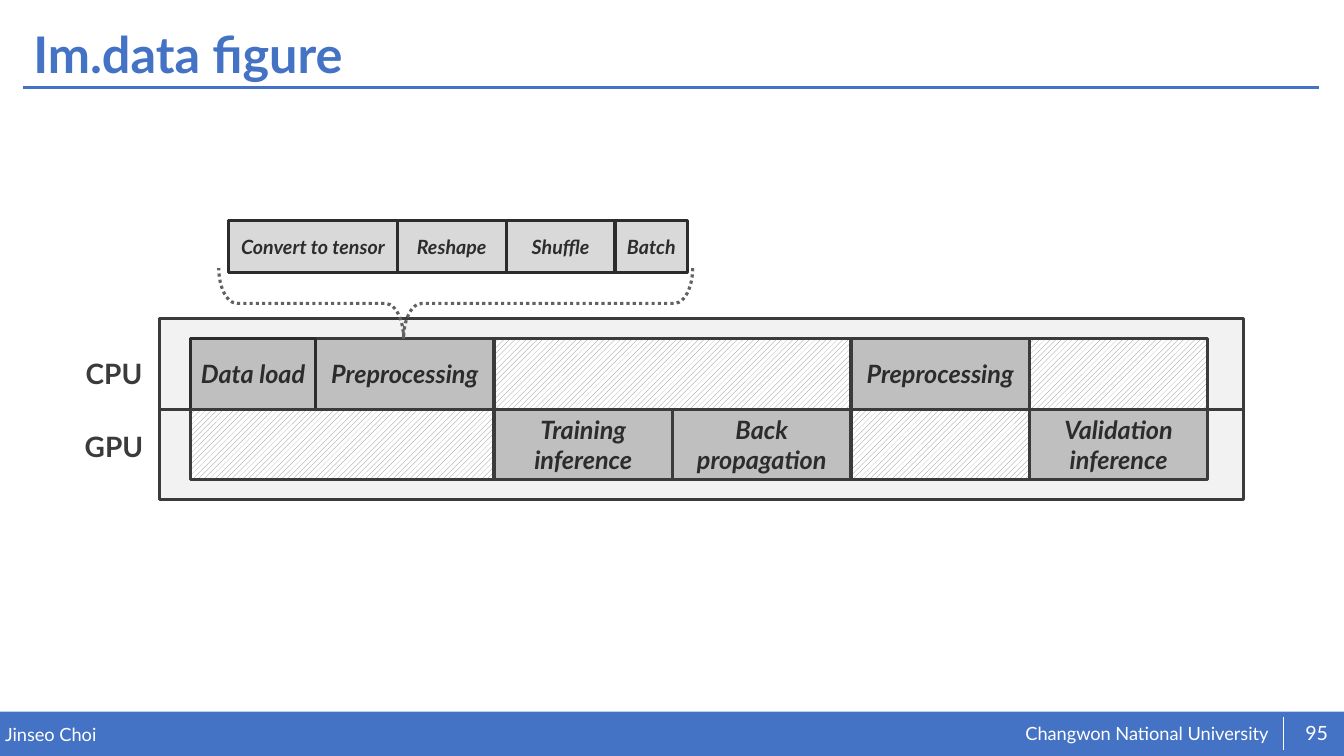
"""Build the slide showing how CPU and GPU share the training pipeline."""
from lxml import etree
from pptx import Presentation
from pptx.dml.color import RGBColor
from pptx.enum.dml import MSO_LINE, MSO_PATTERN
from pptx.enum.shapes import MSO_CONNECTOR, MSO_SHAPE
from pptx.enum.text import MSO_ANCHOR, MSO_AUTO_SIZE, PP_ALIGN
from pptx.oxml.ns import qn
from pptx.util import Inches, Pt

RECT, BRACE = MSO_SHAPE.RECTANGLE, MSO_SHAPE.LEFT_BRACE
STRAIGHT = MSO_CONNECTOR.STRAIGHT
LEFT, CENTER, RIGHT = PP_ALIGN.LEFT, PP_ALIGN.CENTER, PP_ALIGN.RIGHT
MIDDLE, NO_FIT = MSO_ANCHOR.MIDDLE, MSO_AUTO_SIZE.NONE
HATCH, DOTS = MSO_PATTERN.WIDE_UPWARD_DIAGONAL, MSO_LINE.ROUND_DOT
BLUE, WHITE, DARK, INK = "4472C4", "FFFFFF", "3B3B3B", "2C2C2C"
CELL, STEP = "BFBFBF", "D9D9D9"


def rgb(color):
    return RGBColor.from_string(color)


def write(tf, lines, size, color, align=LEFT, bold=False, italic=False, inset=0.0):
    tf.word_wrap = True
    tf.auto_size = NO_FIT
    tf.vertical_anchor = MIDDLE
    tf.margin_left = tf.margin_right = Inches(inset)
    tf.margin_top = tf.margin_bottom = 0
    for i, line in enumerate(lines.split("\n")):
        p = tf.add_paragraph() if i else tf.paragraphs[0]
        p.alignment = align
        r = p.add_run()
        r.text = line
        r.font.name = "Lato"
        r.font.size = Pt(size)
        r.font.bold = bold
        r.font.italic = italic
        r.font.color.rgb = rgb(color)


prs = Presentation()
prs.slide_width, prs.slide_height = Inches(13.33), Inches(7.5)
s = prs.slides.add_slide(prs.slide_layouts[5])

title = s.shapes.title
title.left, title.top = Inches(0.23), Inches(0.18)
title.width, title.height = Inches(12.86), Inches(0.77)
write(title.text_frame, "Im.data figure", 36, BLUE, bold=True, inset=0.1)
title.text_frame.paragraphs[0].line_spacing = 0.9

footer = s.shapes.add_shape(RECT, 0, Inches(7.06), prs.slide_width, Inches(0.44))
footer.shadow.inherit = False
footer.fill.solid()
footer.fill.fore_color.rgb = rgb(BLUE)
footer.line.fill.background()

frame = s.shapes.add_shape(RECT, Inches(1.58), Inches(3.16), Inches(10.75), Inches(1.8))
frame.shadow.inherit = False
frame.fill.solid()
frame.fill.fore_color.rgb = rgb("F2F2F2")
frame.line.color.rgb = rgb(DARK)
frame.line.width = Pt(2.25)

rules = []
for x1, y1, x2, y2, color, width in [
    (0.23, 0.87, 13.08, 0.87, BLUE, 2),
    (12.73, 7.11, 12.73, 7.44, WHITE, 0.5),
    (1.58, 4.06, 12.33, 4.06, DARK, 2.25),
]:
    rule = s.shapes.add_connector(STRAIGHT, Inches(x1), Inches(y1), Inches(x2), Inches(y2))
    rule.line.color.rgb = rgb(color)
    rule.line.width = Pt(width)
    etree.SubElement(rule._element.spPr, qn("a:effectLst"))
    rules.append(rule)
divider = rules[-1]
divider.begin_connect(frame, 1)
divider.end_connect(frame, 3)

for text, x, y, w, h, size, color, align, bold in [
    ("Jinseo Choi", 0.05, 7.17, 6.55, 0.22, 13, WHITE, LEFT, False),
    ("Changwon National University", 9.58, 7.16, 3, 0.23, 13, WHITE, RIGHT, False),
    ("95", 12.82, 7.07, 0.48, 0.4, 14, WHITE, CENTER, False),
    ("CPU", 0.85, 3.48, 0.7, 0.44, 20, DARK, LEFT, True),
    ("GPU", 0.84, 4.21, 0.7, 0.44, 20, DARK, LEFT, True),
]:
    label = s.shapes.add_textbox(Inches(x), Inches(y), Inches(w), Inches(h))
    write(label.text_frame, text, size, color, align, bold)

cpu, gpu, row_h, slot = 3.36, 4.06, 0.7, 1.77
start, load_w = 1.89, 1.24
cols = [start + load_w + slot * i for i in range(5)]
boxes = [
    ("Preprocessing", cols[0], cpu, slot, row_h, 18, CELL, DARK),
    ("Data load", start, cpu, load_w, row_h, 18, CELL, INK),
    ("Training inference", cols[1], gpu, slot, row_h, 18, CELL, DARK),
    ("Preprocessing", cols[3], cpu, slot, row_h, 18, CELL, DARK),
    ("Validation\ninference", cols[4], gpu, slot, row_h, 18, CELL, DARK),
    ("Back propagation", cols[2], gpu, slot, row_h, 18, CELL, DARK),
    ("", start, gpu, load_w + slot, row_h, 18, HATCH, DARK),
    ("", cols[1], cpu, 2 * slot, row_h, 18, HATCH, DARK),
    ("", cols[3], gpu, slot, row_h, 18, HATCH, DARK),
    ("", cols[4], cpu, slot, row_h, 18, HATCH, DARK),
]
x = 2.27
for step, w in [("Convert to tensor", 1.67), ("Reshape", 1.08), ("Shuffle", 1.08), ("Batch", 0.72)]:
    boxes.append((step, x, 2.19, w, 0.51, 14, STEP, INK))
    x += w

for text, x, y, w, h, size, fill, line in boxes:
    sp = s.shapes.add_shape(RECT, Inches(x), Inches(y), Inches(w), Inches(h))
    sp.shadow.inherit = False
    if fill == HATCH:
        sp.fill.patterned()
        sp.fill.pattern = HATCH
        sp.fill.fore_color.rgb = rgb("808080")
        sp.fill.back_color.rgb = rgb(WHITE)
    else:
        sp.fill.solid()
        sp.fill.fore_color.rgb = rgb(fill)
    sp.line.color.rgb = rgb(line)
    sp.line.width = Pt(2.25)
    if text:
        write(sp.text_frame, text, size, INK, CENTER, True, True, 0.05)

brace = s.shapes.add_shape(BRACE, Inches(4.17), Inches(0.66), Inches(0.7), Inches(4.7))
brace.rotation = 270
brace.adjustments[0], brace.adjustments[1] = 0.26, 0.39
brace.shadow.inherit = False
brace.fill.background()
brace.line.color.rgb = rgb("616161")
brace.line.width = Pt(2.25)
brace.line.dash_style = DOTS

prs.save("out.pptx")
